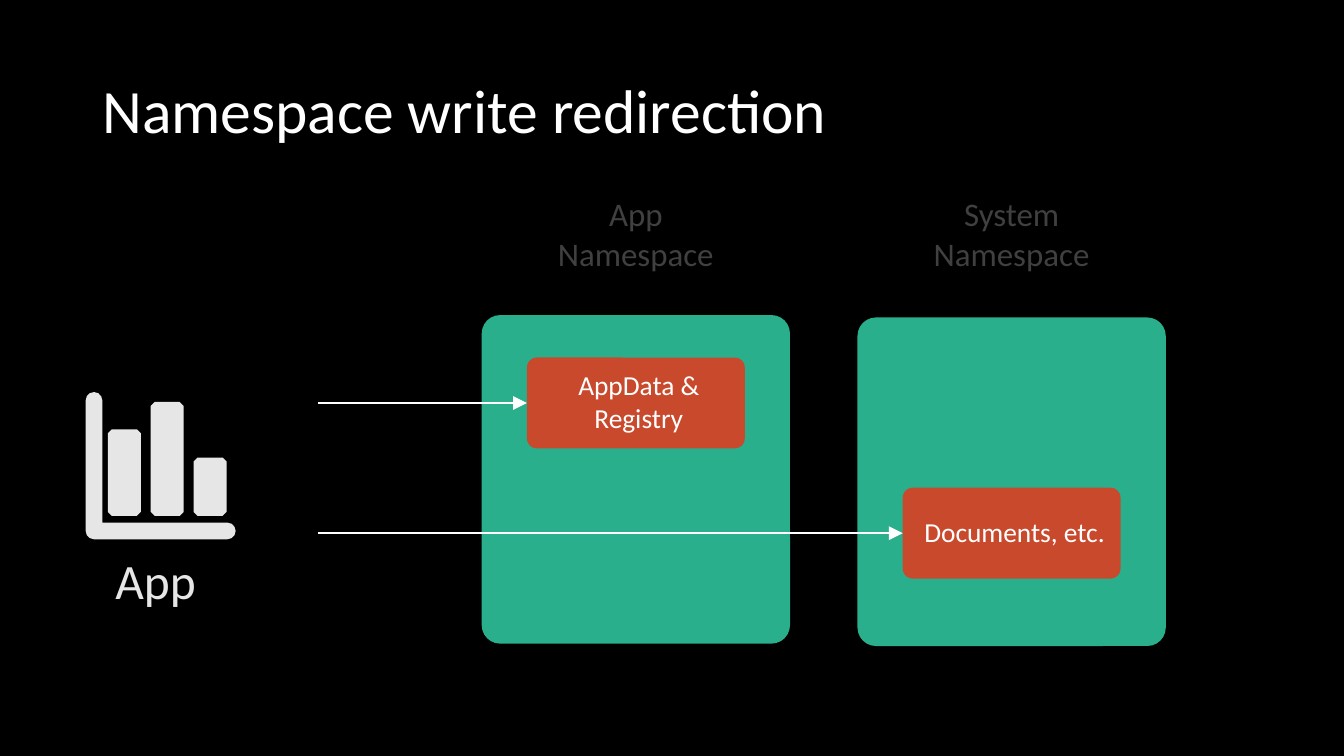
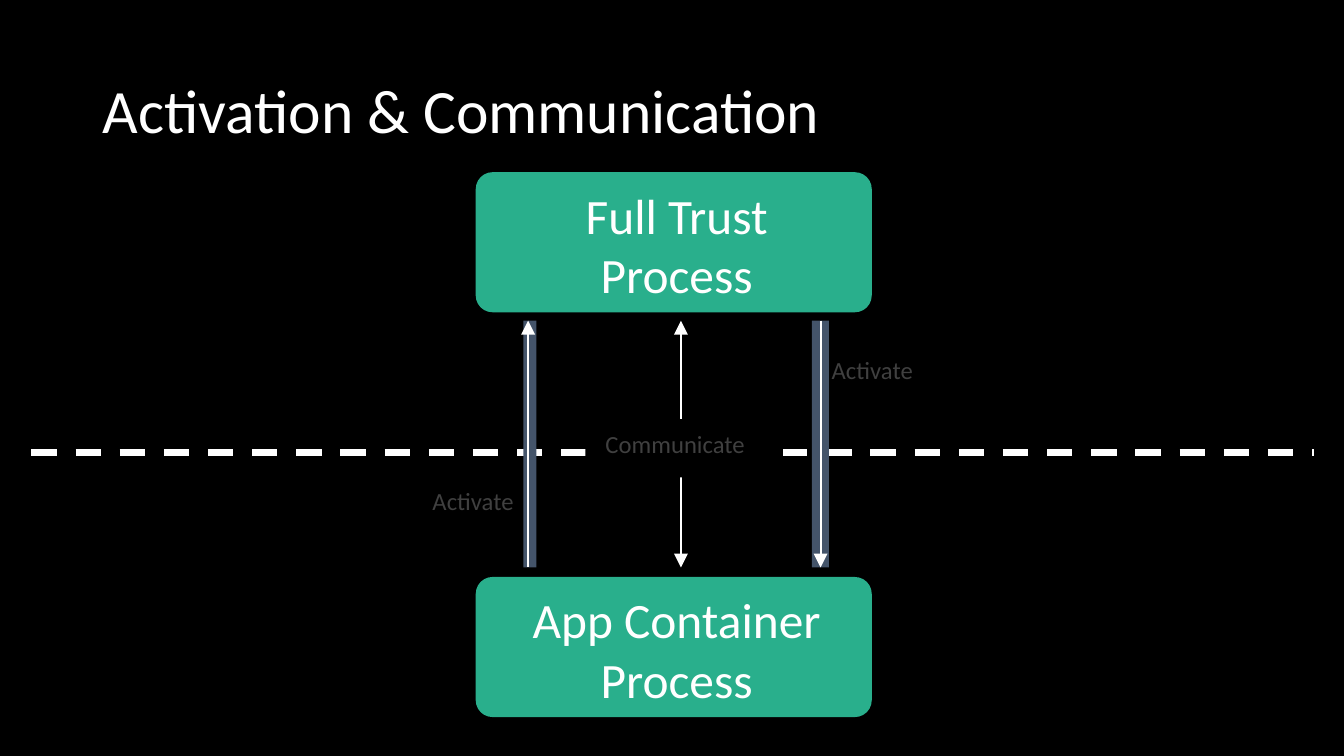
from dataclasses import dataclass
from math import cos, pi, sin

from lxml.etree import SubElement
from pptx import Presentation
from pptx.dml.color import RGBColor
from pptx.enum.dml import MSO_LINE
from pptx.enum.shapes import MSO_CONNECTOR, MSO_SHAPE
from pptx.enum.text import MSO_ANCHOR, MSO_AUTO_SIZE, PP_ALIGN
from pptx.oxml.ns import qn
from pptx.util import Cm, Pt


@dataclass(frozen=True)
class Theme:
    font: str = "Calibri"
    black: str = "000000"
    white: str = "FFFFFF"
    green: str = "29AF8C"
    red: str = "C9492C"
    slate: str = "44546A"
    silver: str = "E7E6E6"
    gray: str = "404040"
    title: float = 44
    large: float = 35.3
    heading: float = 23.5
    item: float = 19.6
    label: float = 17.6
    thin: float = 1.5
    thick: float = 4.5


THEME = Theme()

# Insets in cm: left, top, right, bottom
PLAIN = (0.25, 0.13, 0.25, 0.13)
ROOMY = (0.51, 0.41, 0.51, 0.41)
ITEM = (0.25, 0, 0.1, 0.1)
PROCESS = (0.25, 0.25, 0.1, 0.1)

# Slide 1: heading, panel left and top, item text and item top (cm)
NAMESPACES = [
    ("System\vNamespace", 21.61, 8.0, "Documents, etc.", 12.29),
    ("App\vNamespace", 12.14, 7.94, "AppData & Registry", 9.01),
]
PANEL_SIZE = (7.77, 8.28)
ITEM_SIZE = (5.49, 2.29)
HEADING_SIZE = (4.5, 2.26)
HEADING_TOP = 4.75
ARROW_START = 8.01
BAR_TOPS = [10.82, 10.13, 11.53]

# Slide 2: (cm)
PROCESSES = [("Full Trust\vProcess", 4.34), ("App Container\vProcess", 14.54)]
SPAN_TOP, SPAN_BOTTOM = 8.08, 14.3
STRIPS = [(20.46, 0.43), (13.19, 0.33)]
# x, arrowhead at the top, arrowhead at the bottom
SIGNALS = [(13.31, True, False), (17.16, True, True), (20.68, False, True)]
ACTIVATIONS = [(10.39, 11.99), (20.45, 8.69)]


def color(value):
    return RGBColor.from_string(value)


def write(shape, text, size, ink, insets=None, align=PP_ALIGN.LEFT,
          anchor=MSO_ANCHOR.TOP, spacing=None, wrap=True, grow=False):
    frame = shape.text_frame
    frame.text = text
    frame.word_wrap = wrap
    frame.auto_size = MSO_AUTO_SIZE.SHAPE_TO_FIT_TEXT if grow else MSO_AUTO_SIZE.NONE
    frame.vertical_anchor = anchor
    if insets:
        (frame.margin_left, frame.margin_top,
         frame.margin_right, frame.margin_bottom) = map(Cm, insets)
    for para in frame.paragraphs:
        para.alignment = align
        if spacing:
            para.line_spacing = spacing
        for span in para.runs:
            span.font.name = THEME.font
            span.font.size = Pt(size)
            span.font.color.rgb = color(ink)


def paint(shape, fill):
    shape.shadow.inherit = False
    shape.fill.solid()
    shape.fill.fore_color.rgb = color(fill)
    shape.line.fill.background()


def add_block(shapes, left, top, width, height, fill, corner=None):
    """Add a filled rectangle, rounded when a corner ratio is given."""
    preset = MSO_SHAPE.ROUNDED_RECTANGLE if corner else MSO_SHAPE.RECTANGLE
    block = shapes.add_shape(preset, Cm(left), Cm(top), Cm(width), Cm(height))
    if corner:
        block.adjustments[0] = corner
    paint(block, fill)
    return block


def add_label(shapes, left, top, width, height, text, size, ink, **style):
    box = shapes.add_textbox(Cm(left), Cm(top), Cm(width), Cm(height))
    write(box, text, size, ink, grow=True, **style)


def add_line(shapes, start, end, width=THEME.thin, head=False, tail=False):
    line = shapes.add_connector(MSO_CONNECTOR.STRAIGHT, *map(Cm, start + end))
    line.line.width = Pt(width)
    line.line.color.rgb = color(THEME.white)
    outline = line._element.spPr.find(qn("a:ln"))
    for wanted, tag in ((head, "a:headEnd"), (tail, "a:tailEnd")):
        if wanted:
            SubElement(outline, qn(tag), type="triangle", w="lg", len="lg")
    SubElement(line._element.spPr, qn("a:effectLst"))
    return line


def rounded_outline(corners, steps):
    """Turn (x, y, radius) corners of a right-angled outline into points."""
    points = []
    for index, (x, y, radius) in enumerate(corners):
        before, after = corners[index - 1], corners[(index + 1) % len(corners)]
        (ux, uy), (vx, vy) = [
            ((px > x) - (px < x), (py > y) - (py < y))
            for px, py, _ in (before, after)
        ]
        for step in range(steps + 1 if radius else 1):
            angle = step * pi / 2 / steps
            along, across = 1 - sin(angle), 1 - cos(angle)
            points.append((Cm(x + radius * (ux * along + vx * across)),
                           Cm(y + radius * (uy * along + vy * across))))
    return points


def add_chart_icon(shapes):
    left, top, right, bottom, thick = 2.16, 9.88, 5.94, 13.59, 0.42
    end = thick / 2
    axis = [
        (left, top, end), (left + thick, top, end),
        (left + thick, bottom - thick, 0), (right, bottom - thick, end),
        (right, bottom, end), (left, bottom, end),
    ]
    builder = shapes.build_freeform()
    outlines = [rounded_outline(axis, steps=3)]
    bar_left, bar_width, pitch, base, radius = 2.72, 0.83, 1.08, 13.0, 0.1
    for index, bar_top in enumerate(BAR_TOPS):
        near = bar_left + index * pitch
        far = near + bar_width
        bar = [(x, y, radius) for x, y in (
            (near, bar_top), (far, bar_top), (far, base), (near, base))]
        outlines.append(rounded_outline(bar, steps=1))
    first, *others = outlines
    builder = shapes.build_freeform(*first[0])
    builder.add_line_segments(first[1:], close=True)
    for points in others:
        builder.move_to(*points[0])
        builder.add_line_segments(points[1:], close=True)
    paint(builder.convert_to_shape(), THEME.silver)


def prepare_layout(deck):
    background = deck.slide_master.background.fill
    background.solid()
    background.fore_color.rgb = color(THEME.black)
    layout = deck.slide_layouts.get_by_name("Title Only")
    title = next(box for box in layout.placeholders
                 if box.placeholder_format.idx == 0)
    title.left, title.top, title.width, title.height = map(
        Cm, (2.33, 1.02, 29.21, 3.68))
    return layout


def add_page(deck, layout, title):
    page = deck.slides.add_slide(layout)
    write(page.shapes.title, title, THEME.title, THEME.white,
          anchor=MSO_ANCHOR.MIDDLE, spacing=0.9)
    return page.shapes


def add_namespace(shapes, heading, left, top, item, item_top):
    """Add a headed panel as a group and return the item box inside it."""
    group = shapes.add_group_shape().shapes
    center = left + PANEL_SIZE[0] / 2
    add_block(group, left, top, *PANEL_SIZE, THEME.green, 0.06)
    box = add_block(group, center - ITEM_SIZE[0] / 2, item_top, *ITEM_SIZE,
                    THEME.red, 0.11)
    write(box, item, THEME.item, THEME.white, ITEM, PP_ALIGN.CENTER,
          MSO_ANCHOR.MIDDLE)
    add_label(group, center - HEADING_SIZE[0] / 2, HEADING_TOP, *HEADING_SIZE,
              heading, THEME.heading, THEME.gray, insets=PLAIN,
              align=PP_ALIGN.CENTER, wrap=False)
    return box


def build_redirection(shapes):
    add_chart_icon(shapes)
    items = [add_namespace(shapes, *namespace) for namespace in NAMESPACES]
    for box in items:
        middle = (box.top + box.height / 2) / Cm(1)
        arrow = add_line(shapes, (ARROW_START, middle),
                         (box.left / Cm(1), middle), tail=True)
        arrow.end_connect(box, 1)
    add_label(shapes, 2.4, 13.62, 3.35, 2.16, "App", THEME.large,
              THEME.silver, insets=ROOMY, spacing=0.9)


def build_activation(shapes):
    border = add_line(shapes, (0.79, 11.4), (33.12, 11.4), THEME.thick)
    border.line.dash_style = MSO_LINE.DASH
    for left, width in STRIPS:
        add_block(shapes, left, SPAN_TOP, width, SPAN_BOTTOM - SPAN_TOP,
                  THEME.slate)
    for x, at_top, at_bottom in SIGNALS:
        add_line(shapes, (x, SPAN_TOP), (x, SPAN_BOTTOM),
                 head=at_top, tail=at_bottom)
    for left, top in ACTIVATIONS:
        add_label(shapes, left, top, 3.07, 1.47, "Activate", THEME.label,
                  THEME.gray, insets=ROOMY, spacing=0.9, wrap=False)
    channel = add_block(shapes, 14.75, 10.56, 4.98, 1.47, THEME.black)
    write(channel, "Communicate", THEME.label, THEME.gray, ROOMY,
          spacing=0.9, grow=True)
    for name, top in PROCESSES:
        box = add_block(shapes, 11.99, top, 9.98, 3.53, THEME.green, 0.12)
        write(box, name, THEME.large, THEME.white, PROCESS, PP_ALIGN.CENTER,
              MSO_ANCHOR.BOTTOM)


def main():
    deck = Presentation()
    deck.slide_width, deck.slide_height = Cm(33.87), Cm(19.05)
    layout = prepare_layout(deck)
    build_redirection(add_page(deck, layout, "Namespace write redirection"))
    build_activation(add_page(deck, layout, "Activation & Communication"))
    deck.save("out.pptx")


if __name__ == "__main__":
    main()
